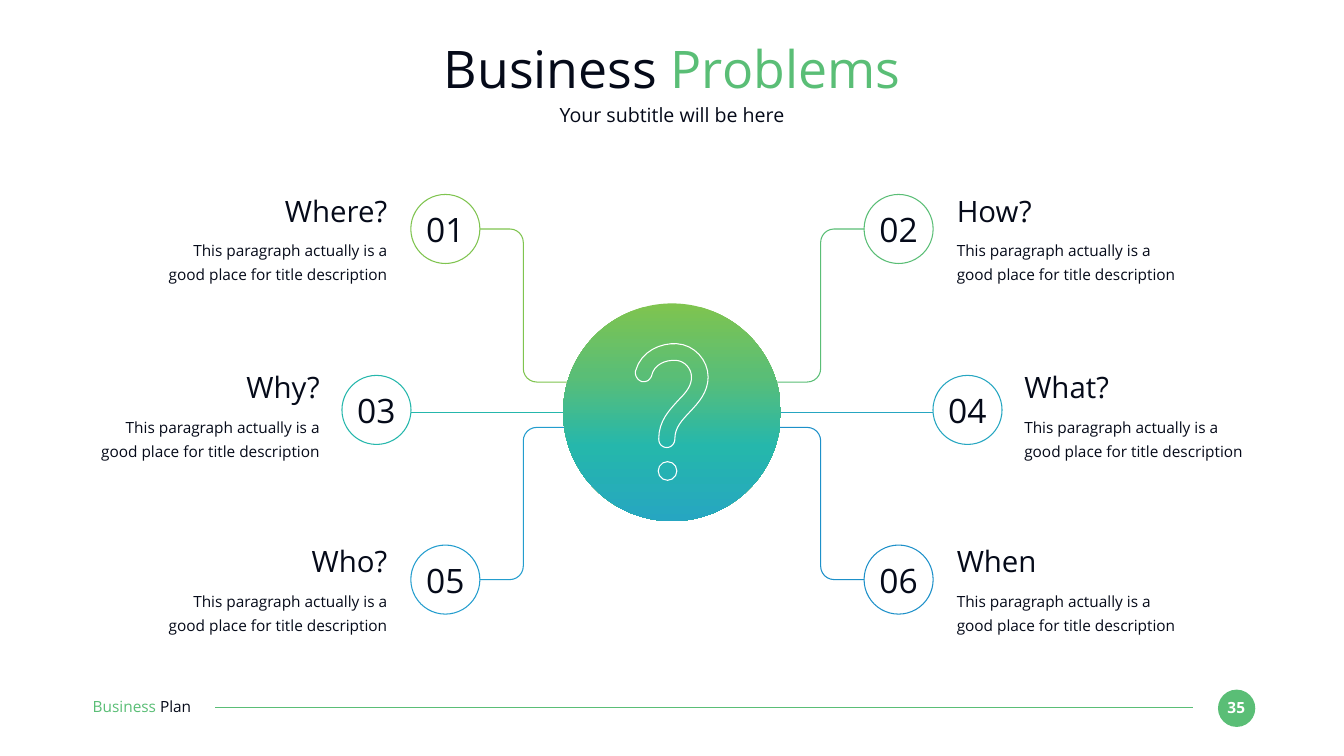
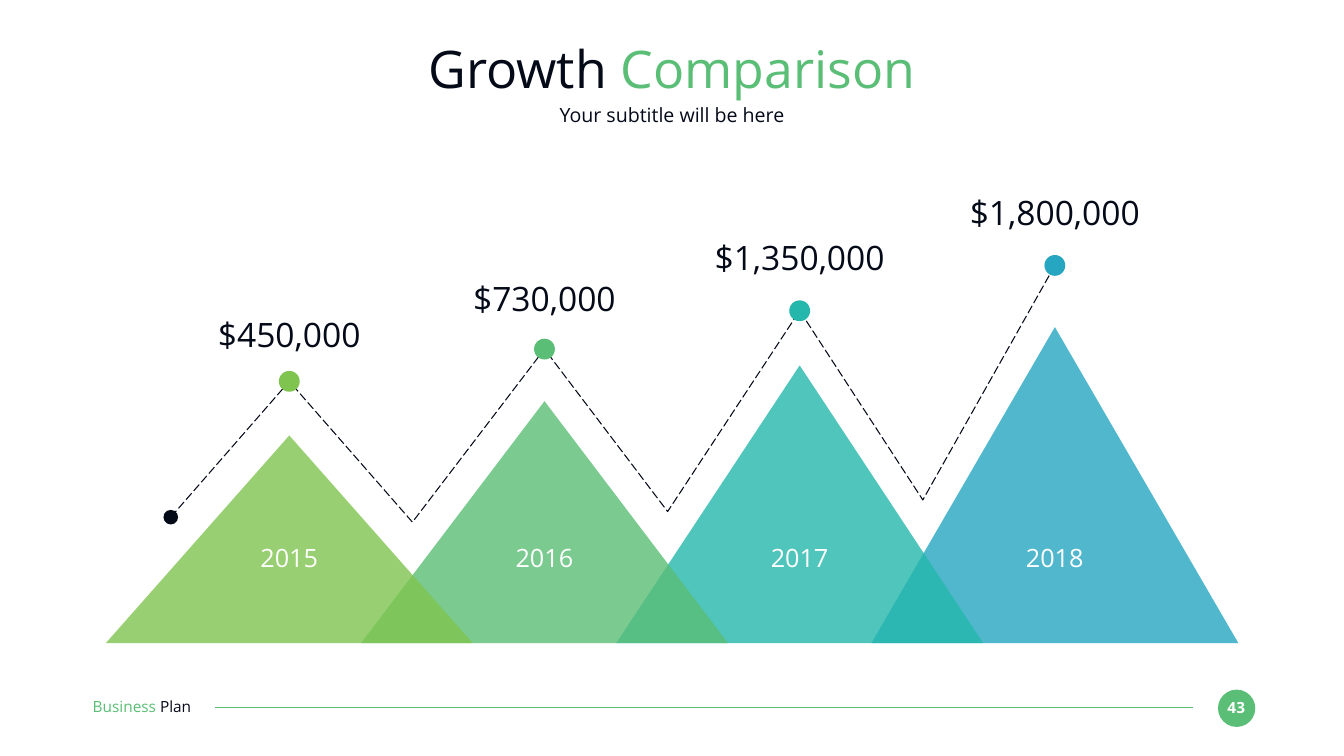
import math

import lxml.etree
import pptx
import pptx.dml.color
import pptx.enum.dml
import pptx.enum.shapes
import pptx.enum.text
import pptx.oxml.ns
import pptx.util

INK = pptx.dml.color.RGBColor(0x05, 0x0A, 0x19)
WHITE = pptx.dml.color.RGBColor(0xFF, 0xFF, 0xFF)
LIME = pptx.dml.color.RGBColor(0x7F, 0xC4, 0x4F)
GREEN = pptx.dml.color.RGBColor(0x5A, 0xBE, 0x76)
TEAL = pptx.dml.color.RGBColor(0x25, 0xB7, 0xAC)
CYAN = pptx.dml.color.RGBColor(0x26, 0xA6, 0xC1)
SKY = pptx.dml.color.RGBColor(0x23, 0x9D, 0xCE)
BLUE = pptx.dml.color.RGBColor(0x1D, 0x90, 0xC9)

FONT = "Open Sans"
COLUMNS, ROWS = 80, 45
CELL = pptx.util.Inches(1) // 3
MIDDLE = COLUMNS / 2

OVAL = pptx.enum.shapes.MSO_SHAPE.OVAL
TRIANGLE = pptx.enum.shapes.MSO_SHAPE.ISOSCELES_TRIANGLE
STRAIGHT = pptx.enum.shapes.MSO_CONNECTOR.STRAIGHT
LEFT = pptx.enum.text.PP_ALIGN.LEFT
CENTER = pptx.enum.text.PP_ALIGN.CENTER
RIGHT = pptx.enum.text.PP_ALIGN.RIGHT
qn = pptx.oxml.ns.qn


def write(slide, box, parts, size, align=CENTER, bold=False, spacing=None):
    frame = slide.shapes.add_textbox(*(round(v * CELL) for v in box)).text_frame
    frame.word_wrap = True
    frame.margin_left = frame.margin_right = frame.margin_top = frame.margin_bottom = 0
    paragraph = frame.paragraphs[0]
    paragraph.text = parts[0][0]
    for words, _ in parts[1:]:
        paragraph.add_run().text = words
    paragraph.alignment = align
    paragraph.line_spacing = spacing
    for run, (_, color) in zip(paragraph.runs, parts):
        run.font.name = FONT
        run.font.size = pptx.util.Pt(size)
        run.font.bold = bold
        run.font.color.rgb = color


def paint(shape, fill=None, line=None):
    if fill is not None:
        shape.fill.solid()
        shape.fill.fore_color.rgb = fill
    elif hasattr(shape, "fill"):
        shape.fill.background()
    if line is not None:
        shape.line.color.rgb = line
        shape.line.width = pptx.util.Pt(1.5)
    else:
        shape.line.fill.background()
    lxml.etree.SubElement(shape._element.spPr, qn("a:effectLst"))
    return shape


deck = pptx.Presentation()
deck.slide_width = COLUMNS * CELL
deck.slide_height = ROWS * CELL

slides = []
for lead, accent, number in (("Business ", "Problems", "35"), ("Growth ", "Comparison", "43")):
    slide = deck.slides.add_slide(deck.slide_layouts[6])
    slides.append(slide)
    badge = [round(v * CELL) for v in (72.5, 41.05, 2.22, 2.22)]
    paint(slide.shapes.add_shape(OVAL, *badge), fill=GREEN)
    write(slide, (72.7, 41.55, 1.77, 1.11), [(number, WHITE)], 22, bold=True)
    rule = [round(v * CELL) for v in (71, 42.14, 12.8, 42.14)]
    paint(slide.shapes.add_connector(STRAIGHT, *rule), line=GREEN)
    write(slide, (5.52, 41.52, 7.77, 1.11), [("Business ", GREEN), ("Plan", INK)], 22, LEFT)
    write(slide, (5.5, 2.2, 69, 3.8), [(lead, INK), (accent, GREEN)], 74)
    write(slide, (5.5, 6.1, 69, 1.47), [("Your subtitle will be here", INK)], 28)

problems, growth = slides

HUB_Y, HUB_SIZE = 24.54, 12.96
NODE_SIZE = 4.11
BEND, HUB_EDGE, CORNER = 8.85, 5.86, 0.8
DESCRIPTION = "This paragraph actually is a good place for title description"

question_rows = (
    (13.63, 13.49, 11.49, 16.95, 22.74, (("01", "Where?", LIME), ("02", "How?", GREEN))),
    (24.4, 17.59, 21.99, 20.97, None, (("03", "Why?", TEAL), ("04", "What?", CYAN))),
    (34.5, 13.49, 32.34, 16.95, 25.44, (("05", "Who?", SKY), ("06", "When", BLUE))),
)
for node_y, reach, text_top, text_reach, hub_end, pair in question_rows:
    for side, align, (number, question, color) in zip((-1, 1), (RIGHT, LEFT), pair):
        node_x = MIDDLE + side * reach
        node_edge = reach - NODE_SIZE / 2
        if hub_end is None:
            arm = (MIDDLE + side * HUB_EDGE, HUB_Y, MIDDLE + side * node_edge, HUB_Y)
            arm = [round(v * CELL) for v in arm]
            paint(problems.shapes.add_connector(STRAIGHT, *arm), line=color)
        else:
            toward = math.copysign(CORNER, hub_end - node_y)
            turns = [math.radians(angle) for angle in range(0, 91, 15)]
            route = [(node_edge, node_y)]
            route += [(BEND + CORNER * (1 - math.sin(t)), node_y + toward * (1 - math.cos(t)))
                      for t in turns]
            route += [(BEND - CORNER * (1 - math.cos(t)), hub_end - toward * (1 - math.sin(t)))
                      for t in turns]
            route.append((HUB_EDGE, hub_end))
            route = [(round((MIDDLE + side * x) * CELL), round(y * CELL)) for x, y in route]
            elbow = problems.shapes.build_freeform(*route[0])
            elbow.add_line_segments(route[1:], close=False)
            paint(elbow.convert_to_shape(), line=color)
        ring = (node_x - NODE_SIZE / 2, node_y - NODE_SIZE / 2, NODE_SIZE, NODE_SIZE)
        paint(problems.shapes.add_shape(OVAL, *(round(v * CELL) for v in ring)), line=color)
        write(problems, (node_x - 1.64, node_y - 1.17, 3.27, 2.43), [(number, INK)], 48)
        text_width = 13.6
        text_x = MIDDLE + side * text_reach - (text_width if side < 0 else 0)
        write(problems, (text_x, text_top, text_width, 2.13), [(question, INK)], 42, align)
        write(problems, (text_x, text_top + 2.55, text_width, 2.88),
              [(DESCRIPTION, INK)], 22, align, spacing=1.3)

hub_box = (MIDDLE - HUB_SIZE / 2, HUB_Y - HUB_SIZE / 2, HUB_SIZE, HUB_SIZE)
hub = paint(problems.shapes.add_shape(OVAL, *(round(v * CELL) for v in hub_box)))
hub.fill.gradient()
hub.fill.gradient_angle = 270
stops = hub._element.spPr.find(qn("a:gradFill")).find(qn("a:gsLst"))
for stop in list(stops):
    stops.remove(stop)
for share, color in ((0, LIME), (33, GREEN), (66, TEAL), (100, CYAN)):
    stop = lxml.etree.SubElement(stops, qn("a:gs"), pos=str(share * 1000))
    lxml.etree.SubElement(stop, qn("a:srgbClr"), val=str(color))

mark_start = (40.29, 20.46)
mark_curves = (
    ((39.36, 20.4), (38.16, 20.88), (37.83, 22.08)),
    ((37.77, 22.35), (37.95, 22.62), (38.19, 22.71)),
    ((38.34, 22.74), (38.46, 22.71), (38.58, 22.65)),
    ((38.67, 22.56), (38.76, 22.47), (38.79, 22.35)),
    ((38.94, 21.69), (39.6, 21.42), (40.23, 21.45)),
    ((40.74, 21.48), (41.16, 21.93), (41.16, 22.44)),
    ((41.16, 22.95), (40.89, 23.31), (40.38, 23.82)),
    ((39.84, 24.42), (39.21, 25.05), (39.21, 26.13)),
    ((39.21, 26.43), (39.42, 26.64), (39.69, 26.64)),
    ((39.96, 26.64), (40.17, 26.4), (40.17, 26.13)),
    ((40.17, 25.44), (40.59, 25.02), (41.07, 24.51)),
    ((41.58, 23.97), (42.15, 23.34), (42.15, 22.44)),
    ((42.15, 21.42), (41.31, 20.52), (40.29, 20.46)),
)
outline = [mark_start]
for first, second, end in mark_curves:
    start = outline[-1]
    for step in range(1, 9):
        t = step / 8
        weights = ((1 - t) ** 3, 3 * t * (1 - t) ** 2, 3 * t * t * (1 - t), t ** 3)
        knots = (start, first, second, end)
        outline.append(tuple(sum(w * k[axis] for w, k in zip(weights, knots)) for axis in (0, 1)))
outline = [(round(x * CELL), round(y * CELL)) for x, y in outline]
mark = problems.shapes.build_freeform(*outline[0])
mark.add_line_segments(outline[1:], close=True)
paint(mark.convert_to_shape(), line=WHITE)
mark_dot = [round(v * CELL) for v in (39.18, 27.48, 1.11, 1.11)]
paint(problems.shapes.add_shape(OVAL, *mark_dot), line=WHITE)

BASE_Y, PEAK_WIDTH = 38.28, 21.84
FIRST_PEAK, PEAK_STEP = 17.22, 15.19
years = (
    ("2015", "$450,000", LIME, 25.92, 22.7, 18.69),
    ("2016", "$730,000", GREEN, 23.88, 20.78, 16.53),
    ("2017", "$1,350,000", TEAL, 21.75, 18.5, 14.1),
    ("2018", "$1,800,000", CYAN, 19.47, 15.8, 11.43),
)
peaks = [(FIRST_PEAK + i * PEAK_STEP, *year) for i, year in enumerate(years)]

for x, _, _, color, top, _, _ in reversed(peaks):
    box = (x - PEAK_WIDTH / 2, top, PEAK_WIDTH, BASE_Y - top)
    mountain = growth.shapes.add_shape(TRIANGLE, *(round(v * CELL) for v in box))
    paint(mountain, fill=color)
    tint = mountain._element.spPr.find(qn("a:solidFill")).find(qn("a:srgbClr"))
    lxml.etree.SubElement(tint, qn("a:alpha"), val="80000")

trend = [(10.17, 30.78)]
for (x, *_, dot_y, _), valley_y in zip(peaks, (31.08, 30.45, 29.76, None)):
    trend.append((x, dot_y))
    if valley_y is not None:
        trend.append((x + 7.33, valley_y))
trend = [(round(x * CELL), round(y * CELL)) for x, y in trend]
trend_line = growth.shapes.build_freeform(*trend[0])
trend_line.add_line_segments(trend[1:], close=False)
dashes = paint(trend_line.convert_to_shape(), line=INK)
dashes.line.dash_style = pptx.enum.dml.MSO_LINE.LONG_DASH

trend_start = [round(v * CELL) for v in (9.73, 30.35, 0.87, 0.87)]
paint(growth.shapes.add_shape(OVAL, *trend_start), fill=INK)
for x, year, amount, color, _, dot_y, amount_top in peaks:
    write(growth, (x - 3.62, 32.28, 7.23, 1.83), [(year, WHITE)], 36)
    write(growth, (x - 5.52, amount_top, 11.04, 2.43), [(amount, INK)], 48)
    dot = (x - 0.62, dot_y - 0.62, 1.24, 1.24)
    paint(growth.shapes.add_shape(OVAL, *(round(v * CELL) for v in dot)), fill=color)

deck.save("out.pptx")
